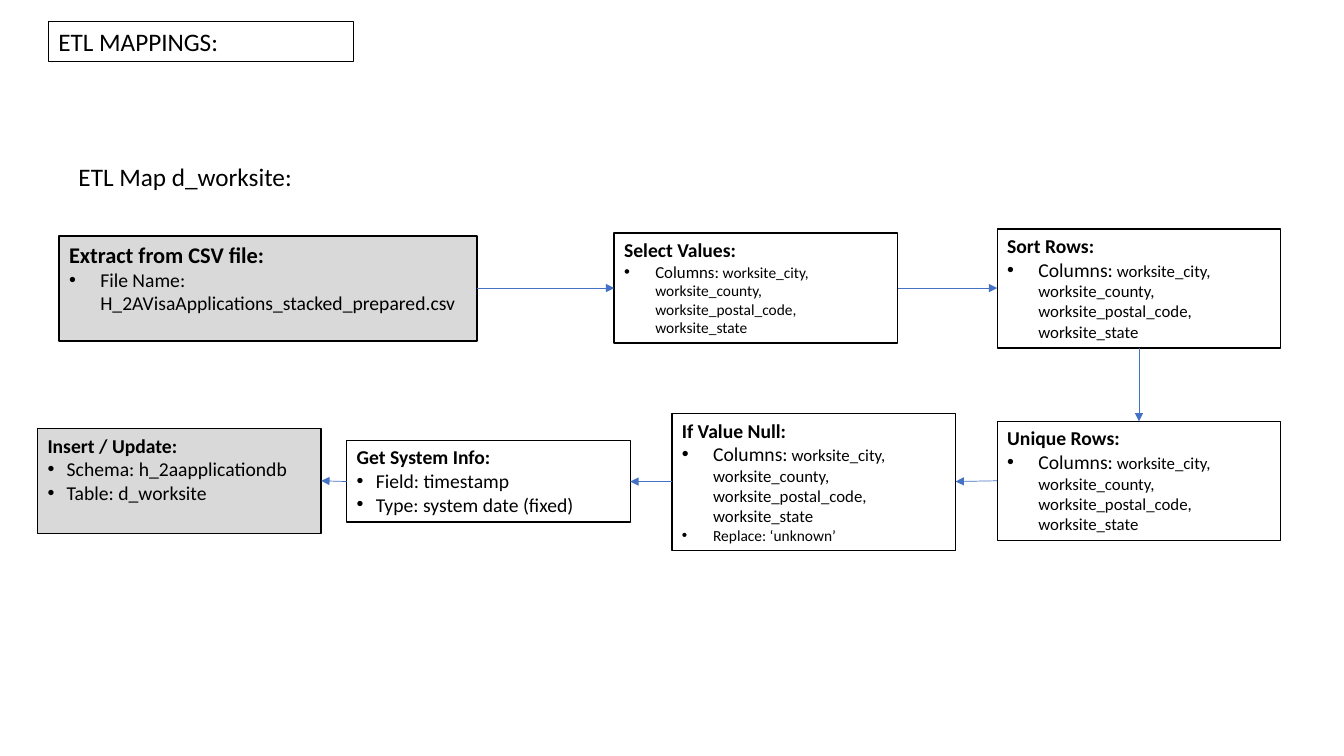
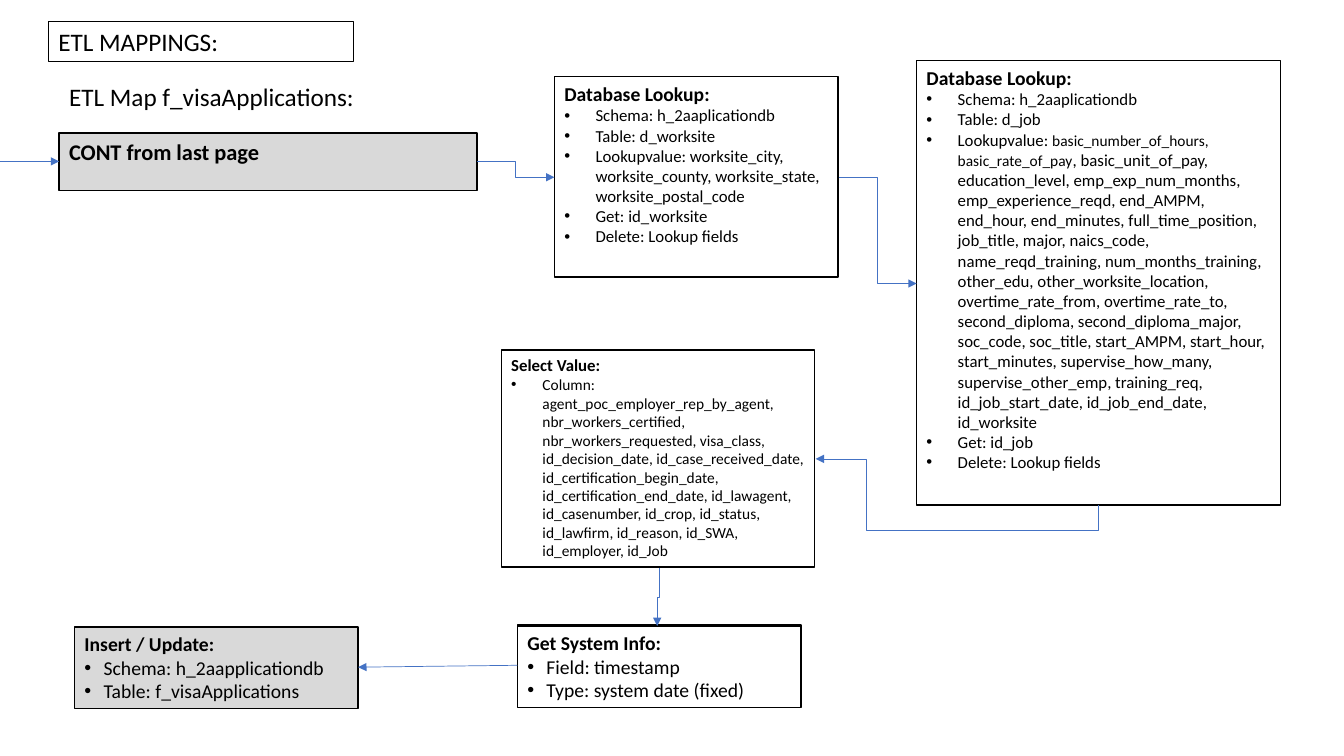
from lxml import etree
from pptx import Presentation
from pptx.dml.color import RGBColor
from pptx.enum.shapes import MSO_CONNECTOR, MSO_SHAPE
from pptx.enum.text import MSO_ANCHOR, PP_ALIGN
from pptx.oxml.ns import qn
from pptx.util import Inches, Pt

RECT, LINE, ELBOW = MSO_SHAPE.RECTANGLE, MSO_CONNECTOR.STRAIGHT, MSO_CONNECTOR.ELBOW
TOP, LEFT = MSO_ANCHOR.TOP, PP_ALIGN.LEFT
HEX = {"ink": "000000", "gray": "D9D9D9", "white": "FFFFFF", "blue": "4472C4"}
INK = {name: RGBColor.from_string(code) for name, code in HEX.items()}
FONT = "Calibri"
WIDE, NARROW = 0.31, 0.19

deck = Presentation()
deck.slide_width, deck.slide_height = Inches(13.33), Inches(7.5)
COL, ROW = deck.slide_width / 100, deck.slide_height / 100


def write(slide, at, head, items=(), size=14, bold=True, fill=None, edge=1, dent=WIDE):
    x, y, w, h = at
    spot = [int(x * COL), int(y * ROW), int(w * COL), int(h * ROW)]
    if edge:
        box = slide.shapes.add_shape(RECT, *spot)
        box.shadow.inherit = False
        box.line.color.rgb = INK["ink"]
        box.line.width = Pt(edge)
    else:
        box = slide.shapes.add_textbox(*spot)
    if fill:
        box.fill.solid()
        box.fill.fore_color.rgb = INK[fill]
    else:
        box.fill.background()
    frame = box.text_frame
    frame.word_wrap = True
    frame.vertical_anchor = TOP
    for n, runs in enumerate([[(head, size)], *items]):
        para = frame.add_paragraph() if n else frame.paragraphs[0]
        para.alignment = LEFT
        if n:
            props = para._p.get_or_add_pPr()
            props.set("marL", str(Inches(dent)))
            props.set("indent", str(-Inches(dent)))
            etree.SubElement(props, qn("a:buFont")).set("typeface", "Arial")
            etree.SubElement(props, qn("a:buChar")).set("char", "•")
        for text, pts in runs:
            run = para.add_run()
            run.text = text
            run.font.name = FONT
            run.font.size = Pt(pts)
            run.font.bold = bold and n == 0
            run.font.color.rgb = INK["ink"]


def link(slide, start, end, kind=LINE, turned=False, flip=False, bends=()):
    x1, y1, x2, y2 = [int(v) for v in (start[0] * COL, start[1] * ROW, end[0] * COL, end[1] * ROW)]
    if turned:
        midx, midy = (x1 + x2) // 2, (y1 + y2) // 2
        w, h = abs(y2 - y1) // 2, abs(x2 - x1) // 2
        side = -w if flip else w
        x1, y1, x2, y2 = midx - side, midy - h, midx + side, midy + h
    wire = slide.shapes.add_connector(kind, x1, y1, x2, y2)
    wire.line.color.rgb = INK["blue"]
    wire.line.width = Pt(0.5)
    props = wire._element.spPr
    etree.SubElement(wire.line._get_or_add_ln(), qn("a:tailEnd")).set("type", "triangle")
    etree.SubElement(props, qn("a:effectLst"))
    if turned:
        props.find(qn("a:xfrm")).set("rot", str(90 * 60000))
    if bends:
        geom = props.find(qn("a:prstGeom"))
        geom.set("prst", f"bentConnector{len(bends) + 2}")
        guides = geom.find(qn("a:avLst"))
        if guides is None:
            guides = etree.SubElement(geom, qn("a:avLst"))
        for n, share in enumerate(bends, 1):
            guide = etree.SubElement(guides, qn("a:gd"))
            guide.set("name", f"adj{n}")
            guide.set("fmla", f"val {round(share * 100000)}")


BOX, BAR, LOW = 21.1, 31.1, 10.8
SITE = " worksite_city, worksite_county, worksite_postal_code, worksite_state"
FIELDS = [("Columns:", 14), (SITE, 12)]
STAMP = [[("Field: timestamp", 14)], [("Type: system date (fixed)", 14)]]
SCHEMA = [("Schema: h_2aapplicationdb", 14)]

pages = []
for label, x, y in [("ETL Map d_worksite:", 5.1, 20.67), ("ETL Map f_visaApplications:", 4.4, 10.1)]:
    page = deck.slides.add_slide(deck.slide_layouts[6])
    write(page, (3.6, 2.8, 22.7, 5.33), "ETL MAPPINGS:", size=18, bold=False, edge=0.75)
    write(page, (x, y, 23.3, 5.33), label, size=18, bold=False, edge=0)
    pages.append(page)
site, visa = pages

write(site, (4.4, 31.2, BAR, 13.9), "Extract from CSV file:",
      [[("File Name: H_2AVisaApplications_stacked_prepared.csv", 14)]], size=16, fill="gray")
write(site, (45.7, 30.8, BOX, 14.6), "Select Values:", [[("Columns:", 12), (SITE, 11)]], fill="white")
for head, y in [("Sort Rows:", 30.3), ("Unique Rows:", 55.75)]:
    write(site, (74.2, y, BOX, 15.75), head, [FIELDS], fill="white")
write(site, (50, 54.7, BOX, 18.15), "If Value Null:",
      [FIELDS, [("Replace: ‘unknown’", 11)]], fill="white")
write(site, (25.8, 58.25, BOX, LOW), "Get System Info:", STAMP, fill="white", dent=NARROW)
write(site, (2.8, 56.7, BOX, 13.9), "Insert / Update:",
      [SCHEMA, [("Table: d_worksite", 14)]], fill="gray", dent=NARROW)
for start, end in [
    ((35.5, 38.1), (45.7, 38.1)),
    ((66.8, 38.1), (74.2, 38.1)),
    ((84.75, 46.05), (84.75, 55.75)),
    ((74.2, 63.6), (71.1, 63.7)),
    ((50, 63.7), (46.9, 63.7)),
    ((25.8, 63.7), (23.9, 63.6)),
]:
    link(site, start, end)

JOB = (
    ", basic_unit_of_pay, education_level, emp_exp_num_months, emp_experience_reqd, end_AMPM, "
    "end_hour, end_minutes, full_time_position, job_title, major, naics_code, name_reqd_training, "
    "num_months_training, other_edu, other_worksite_location, overtime_rate_from, overtime_rate_to, "
    "second_diploma, second_diploma_major, soc_code, soc_title, start_AMPM, start_hour, "
    "start_minutes, supervise_how_many, supervise_other_emp, training_req, id_job_start_date, "
    "id_job_end_date, id_worksite"
)
CASE = (
    "Column: agent_poc_employer_rep_by_agent, nbr_workers_certified, nbr_workers_requested, "
    "visa_class, id_decision_date, id_case_received_date, id_certification_begin_date, "
    "id_certification_end_date, id_lawagent, id_casenumber, id_crop, id_status, id_lawfirm, "
    "id_reason, id_SWA, id_employer, id_Job"
)
write(visa, (4.4, 17.6, BAR, 7.6), "CONT from last page", size=16, fill="gray")
for at, name, keys in [
    ((41.25, 10.15, BOX, 26.5), "worksite",
     [("worksite_city, worksite_county, worksite_state, worksite_postal_code", 12)]),
    ((68.2, 8, 27.1, 58.8), "job",
     [("basic_number_of_hours, basic_rate_of_pay", 11), (JOB, 12)]),
]:
    write(visa, at, "Database Lookup:", [
        [("Schema: h_2aaplicationdb", 12)],
        [(f"Table: d_{name}", 12)],
        [("Lookupvalue: ", 12), *keys],
        [(f"Get: id_{name}", 12)],
        [("Delete: Lookup fields", 12)],
    ], fill="white")
write(visa, (37.3, 46.3, 23.3, 28.7), "Select Value:", [[(CASE, 11)]], size=12, fill="white")
for y in (82.65, 82.8):
    write(visa, (38.5, y, BOX, LOW), "Get System Info:", STAMP, fill="white", dent=NARROW)
write(visa, (5.55, 82.95, BOX, LOW), "Insert / Update:",
      [SCHEMA, [("Table: f_visaApplications", 14)]], fill="gray", dent=NARROW)
link(visa, (0, 21.35), (4.4, 21.35))
link(visa, (38.5, 88), (26.65, 88.25))
link(visa, (35.5, 21.35), (41.25, 23.45), kind=ELBOW)
link(visa, (62.4, 23.45), (68.2, 37.5), kind=ELBOW)
link(visa, (81.7, 66.8), (60.7, 60.7), kind=ELBOW, turned=True, flip=True, bends=(-0.55, 0.82))
link(visa, (49.05, 75.1), (48.9, 82.8), kind=ELBOW, turned=True)

deck.save("out.pptx")
